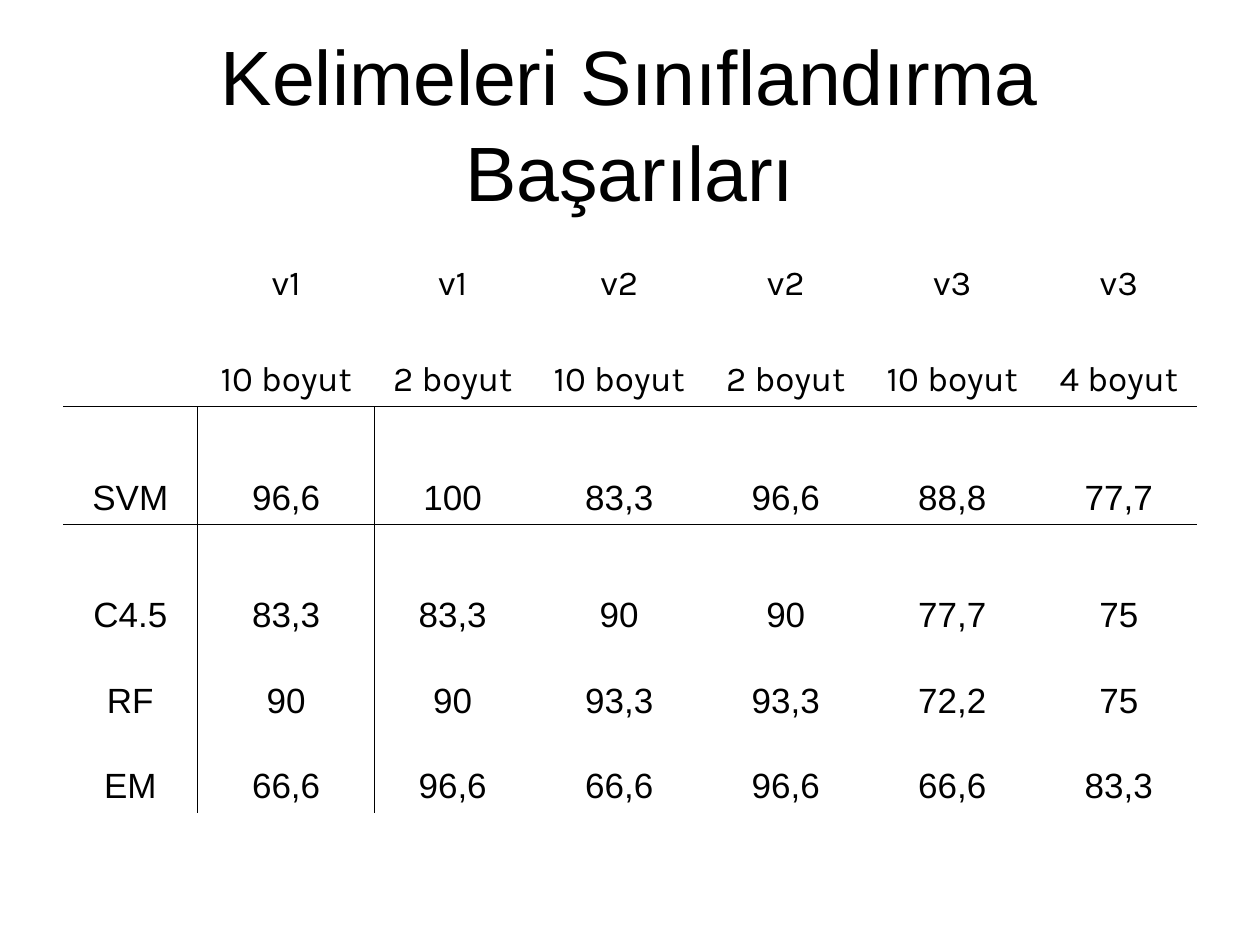
from lxml import etree
from pptx import Presentation
from pptx.dml.color import RGBColor
from pptx.enum.text import MSO_ANCHOR, PP_ALIGN
from pptx.oxml.ns import qn
from pptx.util import Pt

BLACK = RGBColor(0, 0, 0)
CENTER = PP_ALIGN.CENTER
MIDDLE = MSO_ANCHOR.MIDDLE
BOTTOM = MSO_ANCHOR.BOTTOM
BODY_FONT = "Arial"
HEADER_FONT = "Karla"
PLAIN_TABLE_STYLE = "{2D5ABB26-0587-4C30-8999-92F81FD0307C}"
RULE_WIDTH = Pt(0.45)

HEADER_ROWS = 2
COLUMN_WIDTHS = [77] + [101.3, 89.2] * 3
ROW_HEIGHTS = [69.8, 54.7, 67, 67, 49, 49]
RESULTS = [
    ["", "v1", "v1", "v2", "v2", "v3", "v3"],
    ["", "10 boyut", "2 boyut", "10 boyut", "2 boyut", "10 boyut", "4 boyut"],
    ["SVM", "96,6", "100", "83,3", "96,6", "88,8", "77,7"],
    ["C4.5", "83,3", "83,3", "90", "90", "77,7", "75"],
    ["RF", "90", "90", "93,3", "93,3", "72,2", "75"],
    ["EM", "66,6", "96,6", "66,6", "96,6", "66,6", "83,3"],
]


def format_paragraph(paragraph, font_name, size):
    paragraph.alignment = CENTER
    for run in paragraph.runs:
        run.font.name = font_name
        run.font.size = Pt(size)
        run.font.color.rgb = BLACK


def add_title(slide, left, top, width, height):
    title = slide.shapes.add_textbox(Pt(left), Pt(top), Pt(width), Pt(height))
    text_frame = title.text_frame
    text_frame.word_wrap = True
    text_frame.vertical_anchor = MIDDLE
    text_frame.margin_top = Pt(8)
    text_frame.text = "Kelimeleri Sınıflandırma Başarıları"
    paragraph = text_frame.paragraphs[0]
    paragraph.line_spacing = 1.04
    format_paragraph(paragraph, BODY_FONT, 44)


def add_border(cell, side):
    properties = cell._tc.get_or_add_tcPr()
    line = etree.SubElement(properties, qn(f"a:ln{side}"), w=str(RULE_WIDTH))
    fill = etree.SubElement(line, qn("a:solidFill"))
    etree.SubElement(fill, qn("a:srgbClr"), val=str(BLACK))


def border_sides(row, column):
    is_body = row >= HEADER_ROWS
    rules = {
        "L": is_body and column == 1,
        "R": is_body and column == 0,
        "T": row == HEADER_ROWS,
        "B": row == HEADER_ROWS - 1,
    }
    return [side for side, shown in rules.items() if shown]


def add_results_table(slide, left, top, width, height):
    frame = slide.shapes.add_table(
        len(RESULTS), len(COLUMN_WIDTHS), Pt(left), Pt(top), Pt(width), Pt(height)
    )
    table = frame.table
    table.first_row = False
    table.horz_banding = False
    table._tbl.tblPr.find(qn("a:tableStyleId")).text = PLAIN_TABLE_STYLE
    for column, share in zip(table.columns, COLUMN_WIDTHS):
        column.width = Pt(width * share / sum(COLUMN_WIDTHS))
    for row, share in zip(table.rows, ROW_HEIGHTS):
        row.height = Pt(height * share / sum(ROW_HEIGHTS))
    for row, values in enumerate(RESULTS):
        font_name = HEADER_FONT if row < HEADER_ROWS else BODY_FONT
        for column, value in enumerate(values):
            cell = table.cell(row, column)
            cell.text = value
            cell.vertical_anchor = BOTTOM
            format_paragraph(cell.text_frame.paragraphs[0], font_name, 20)
            for side in border_sides(row, column):
                add_border(cell, side)
            cell.fill.background()


def main():
    presentation = Presentation()
    presentation.slide_width = Pt(720)
    presentation.slide_height = Pt(540)
    slide = presentation.slides.add_slide(presentation.slide_layouts[6])
    add_title(slide, 36, 21.6, 648, 90)
    add_results_table(slide, 36, 108, 648, 356.4)
    presentation.save("out.pptx")


if __name__ == "__main__":
    main()
